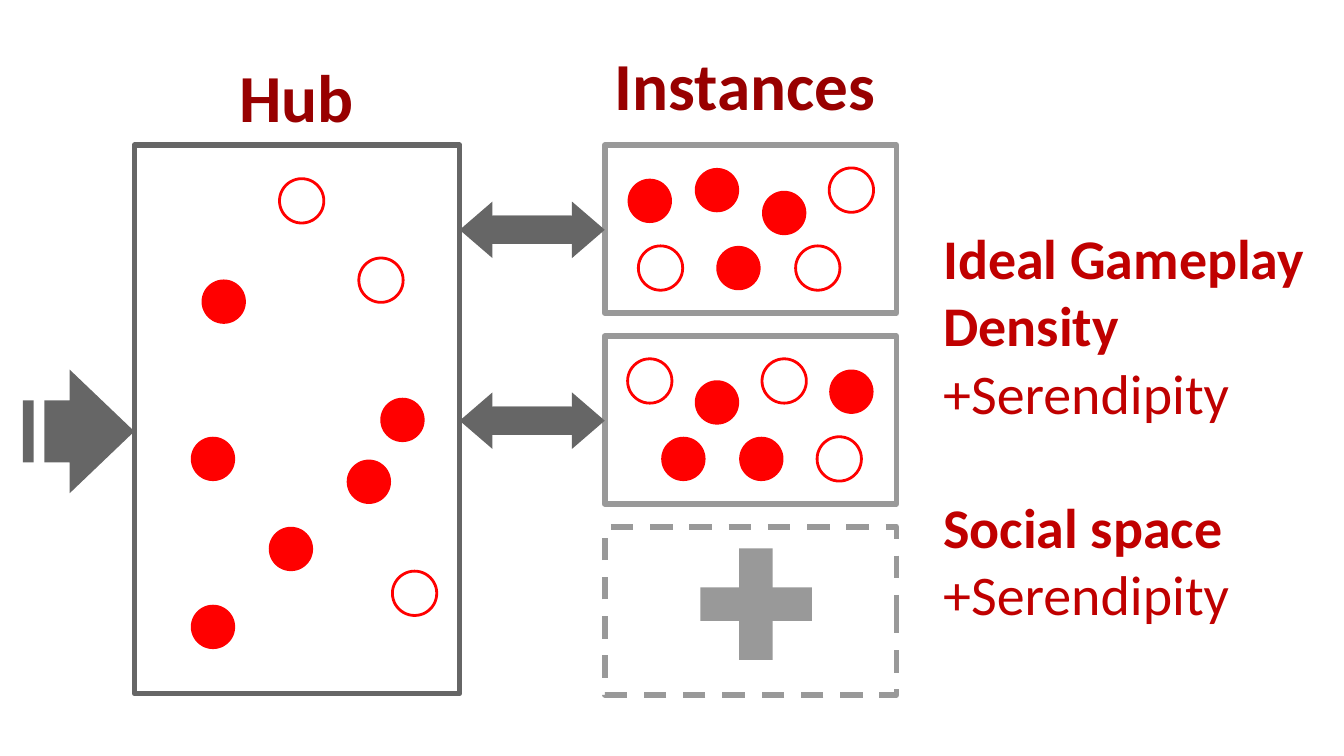
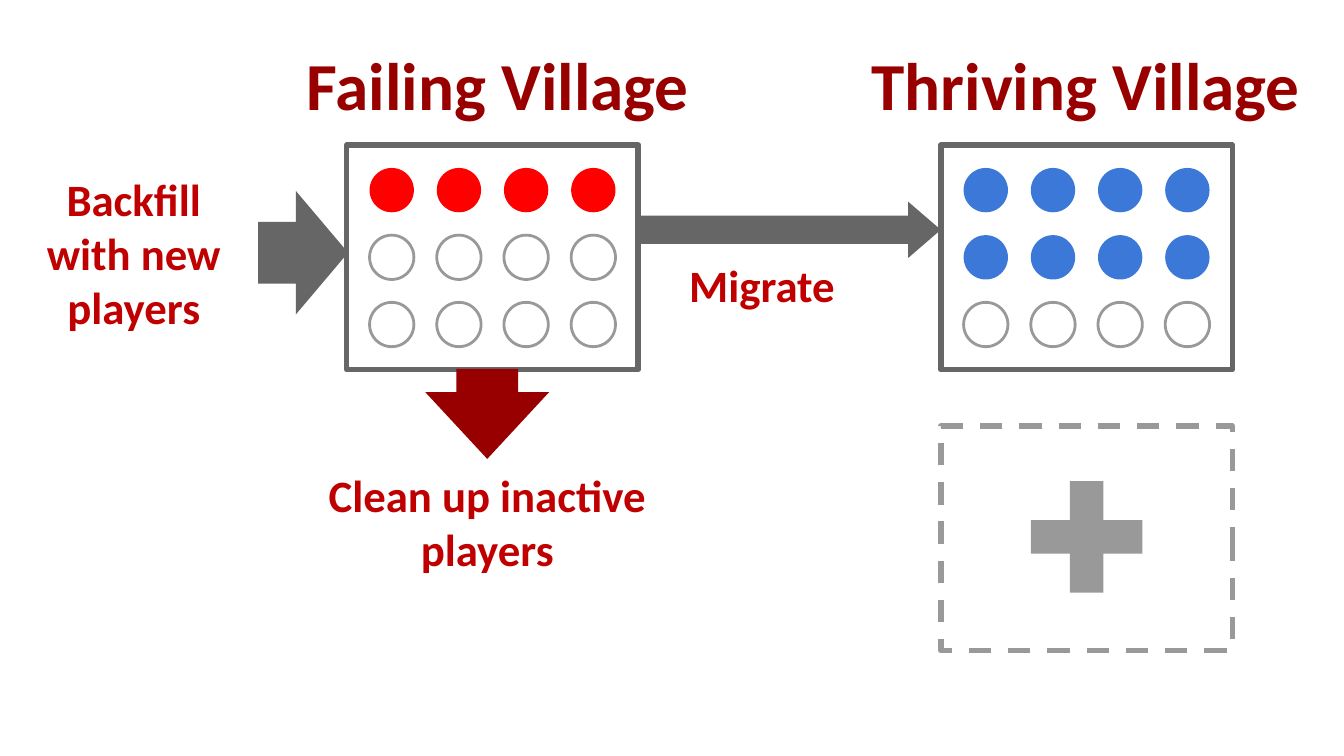
from dataclasses import dataclass
from typing import Optional

from pptx import Presentation
from pptx.dml.color import RGBColor
from pptx.enum.dml import MSO_LINE
from pptx.enum.shapes import MSO_SHAPE
from pptx.enum.text import MSO_ANCHOR, PP_ALIGN
from pptx.shapes.autoshape import Shape
from pptx.slide import Slide
from pptx.util import Inches, Pt

WINE = RGBColor(0x98, 0x00, 0x00)
BRICK = RGBColor(0xC0, 0x00, 0x00)
RED = RGBColor(0xFF, 0x00, 0x00)
BLUE = RGBColor(0x3C, 0x78, 0xD8)
DARK = RGBColor(0x66, 0x66, 0x66)
GREY = RGBColor(0x99, 0x99, 0x99)
WHITE = RGBColor(0xFF, 0xFF, 0xFF)

FONT = "Calibri"
WIDE = Inches(10)
HIGH = WIDE * 9 // 16
DOT = 0.33
STEP = 0.5
PANEL = 2.17


@dataclass(frozen=True)
class Box:
    left: float
    top: float
    width: float
    height: float


@dataclass(frozen=True)
class Line:
    text: str
    bold: bool = True
    gap: float = 0


@dataclass(frozen=True)
class Label:
    box: Box
    lines: tuple[Line, ...]
    size: int = 24
    color: RGBColor = BRICK
    align: PP_ALIGN = PP_ALIGN.CENTER


@dataclass(frozen=True)
class Dot:
    left: float
    top: float
    full: bool = True


@dataclass(frozen=True)
class Arrow:
    box: Box
    turn: int = 0
    color: RGBColor = DARK
    head: float = 0.58


@dataclass(frozen=True)
class Village:
    left: float
    count: int
    color: RGBColor


HUB_DOTS = (
    Dot(2.08, 1.33, False), Dot(2.67, 1.92, False), Dot(1.5, 2.08),
    Dot(2.83, 2.96), Dot(1.42, 3.25), Dot(2.58, 3.42),
    Dot(2, 3.92), Dot(2.92, 4.25, False), Dot(1.42, 4.5),
)
ROOM_DOTS = (
    Dot(4.67, 1.33), Dot(5.17, 1.25), Dot(5.67, 1.42), Dot(6.17, 1.25, False),
    Dot(4.75, 1.83, False), Dot(5.33, 1.83), Dot(5.92, 1.83, False),
    Dot(4.67, 2.67, False), Dot(5.17, 2.83), Dot(5.67, 2.67, False),
    Dot(6.17, 2.75), Dot(4.92, 3.25), Dot(5.5, 3.25), Dot(6.08, 3.25, False),
)


def draw_shape(slide: Slide, kind: MSO_SHAPE, box: Box, fill: Optional[RGBColor] = None,
               edge: Optional[RGBColor] = None, weight: float = 3, turn: int = 0) -> Shape:
    shape = slide.shapes.add_shape(kind, Inches(box.left), Inches(box.top),
                                   Inches(box.width), Inches(box.height))
    shape.shadow.inherit = False
    shape.rotation = turn
    if fill is None:
        shape.fill.background()
    else:
        shape.fill.solid()
        shape.fill.fore_color.rgb = fill
    if edge is None:
        shape.line.fill.background()
    else:
        shape.line.color.rgb = edge
        shape.line.width = Pt(weight)
    return shape


def draw_dot(slide: Slide, dot: Dot, color: RGBColor) -> None:
    box = Box(dot.left, dot.top, DOT, DOT)
    if dot.full:
        draw_shape(slide, MSO_SHAPE.OVAL, box, fill=color)
    else:
        draw_shape(slide, MSO_SHAPE.OVAL, box, edge=color, weight=1.5)


def draw_arrow(slide: Slide, arrow: Arrow) -> None:
    shape = draw_shape(slide, MSO_SHAPE.RIGHT_ARROW, arrow.box, fill=arrow.color,
                       turn=arrow.turn)
    shape.adjustments[1] = arrow.head


def draw_spare(slide: Slide, box: Box, bar: Box) -> None:
    frame = draw_shape(slide, MSO_SHAPE.RECTANGLE, box, edge=GREY, turn=270)
    frame.line.dash_style = MSO_LINE.DASH
    for turn in (0, 90):
        draw_shape(slide, MSO_SHAPE.RECTANGLE, bar, fill=GREY, turn=turn)


def draw_label(slide: Slide, label: Label) -> None:
    box = label.box
    frame = slide.shapes.add_textbox(Inches(box.left), Inches(box.top),
                                     Inches(box.width), Inches(box.height)).text_frame
    frame.word_wrap = True
    frame.vertical_anchor = MSO_ANCHOR.MIDDLE
    frame.text = "\n".join(line.text for line in label.lines)
    for para, line in zip(frame.paragraphs, label.lines):
        para.alignment = label.align
        if line.gap:
            para.space_before = Pt(line.gap)
        for run in para.runs:
            run.font.name = FONT
            run.font.size = Pt(label.size)
            run.font.bold = line.bold
            run.font.color.rgb = label.color


def draw_title(slide: Slide, text: str, left: float, top: float, width: float) -> None:
    draw_label(slide, Label(Box(left, top, width, 0.58), (Line(text),), 36, WINE))


def draw_village(slide: Slide, village: Village) -> None:
    draw_shape(slide, MSO_SHAPE.RECTANGLE, Box(village.left, 1.08, PANEL, 1.67), edge=DARK)
    for seat in range(12):
        row, col = divmod(seat, 4)
        full = seat < village.count
        dot = Dot(village.left + 0.17 + col * STEP, 1.25 + row * STEP, full)
        draw_dot(slide, dot, village.color if full else GREY)


def build_hub(slide: Slide) -> None:
    draw_shape(slide, MSO_SHAPE.RECTANGLE, Box(1, 1.08, 2.42, 4.08), edge=DARK)
    draw_arrow(slide, Arrow(Box(0.17, 2.75, 0.83, 0.92)))
    draw_shape(slide, MSO_SHAPE.RECTANGLE, Box(0.25, 2.92, 0.08, 0.58), fill=WHITE)
    rooms = [Box(4.96, 0.62 + row * 1.42, 1.25, PANEL) for row in range(3)]
    for row, room in enumerate(rooms[:2]):
        draw_shape(slide, MSO_SHAPE.RECTANGLE, room, edge=GREY, turn=270)
        for left, turn in ((3.67, 0), (3.42, 180)):
            draw_arrow(slide, Arrow(Box(left, 1.5 + row * 1.42, 0.83, 0.42), turn))
    draw_spare(slide, rooms[2], Box(5.5, 4.08, 0.25, 0.83))
    for dot in HUB_DOTS + ROOM_DOTS:
        draw_dot(slide, dot, RED)
    draw_title(slide, "Hub", 1.08, 0.42, 2.25)
    draw_title(slide, "Instances", 4.42, 0.33, 2.25)
    draw_label(slide, Label(Box(6.92, 1.5, 3, 3.33), (
        Line("Ideal Gameplay Density"), Line("+Serendipity", False),
        Line("Social space", gap=36), Line("+Serendipity", False),
    ), 30, align=PP_ALIGN.LEFT))


def build_move(slide: Slide) -> None:
    for village in (Village(2.58, 4, RED), Village(7, 8, BLUE)):
        draw_village(slide, village)
    draw_spare(slide, Box(7.25, 2.92, 1.67, PANEL), Box(7.96, 3.58, 0.25, 0.83))
    for arrow in (
        Arrow(Box(1.92, 1.42, 0.67, 0.92)),
        Arrow(Box(4.75, 1.5, 2.25, 0.42)),
        Arrow(Box(3.29, 2.62, 0.67, 0.92), 90, WINE, 0.74),
    ):
        draw_arrow(slide, arrow)
    draw_title(slide, "Failing Village", 2.08, 0.33, 3.25)
    draw_title(slide, "Thriving Village", 6.33, 0.33, 3.5)
    for label in (
        Label(Box(0.08, 1.42, 1.83, 0.92), (Line("Backfill with new players"),)),
        Label(Box(4.92, 1.83, 1.5, 0.58), (Line("Migrate"),)),
        Label(Box(2.25, 3.42, 2.75, 0.92), (Line("Clean up inactive"), Line("players"))),
    ):
        draw_label(slide, label)


def main() -> None:
    deck = Presentation()
    deck.slide_width = WIDE
    deck.slide_height = HIGH
    for build in (build_hub, build_move):
        build(deck.slides.add_slide(deck.slide_layouts[6]))
    deck.save("out.pptx")


if __name__ == "__main__":
    main()
